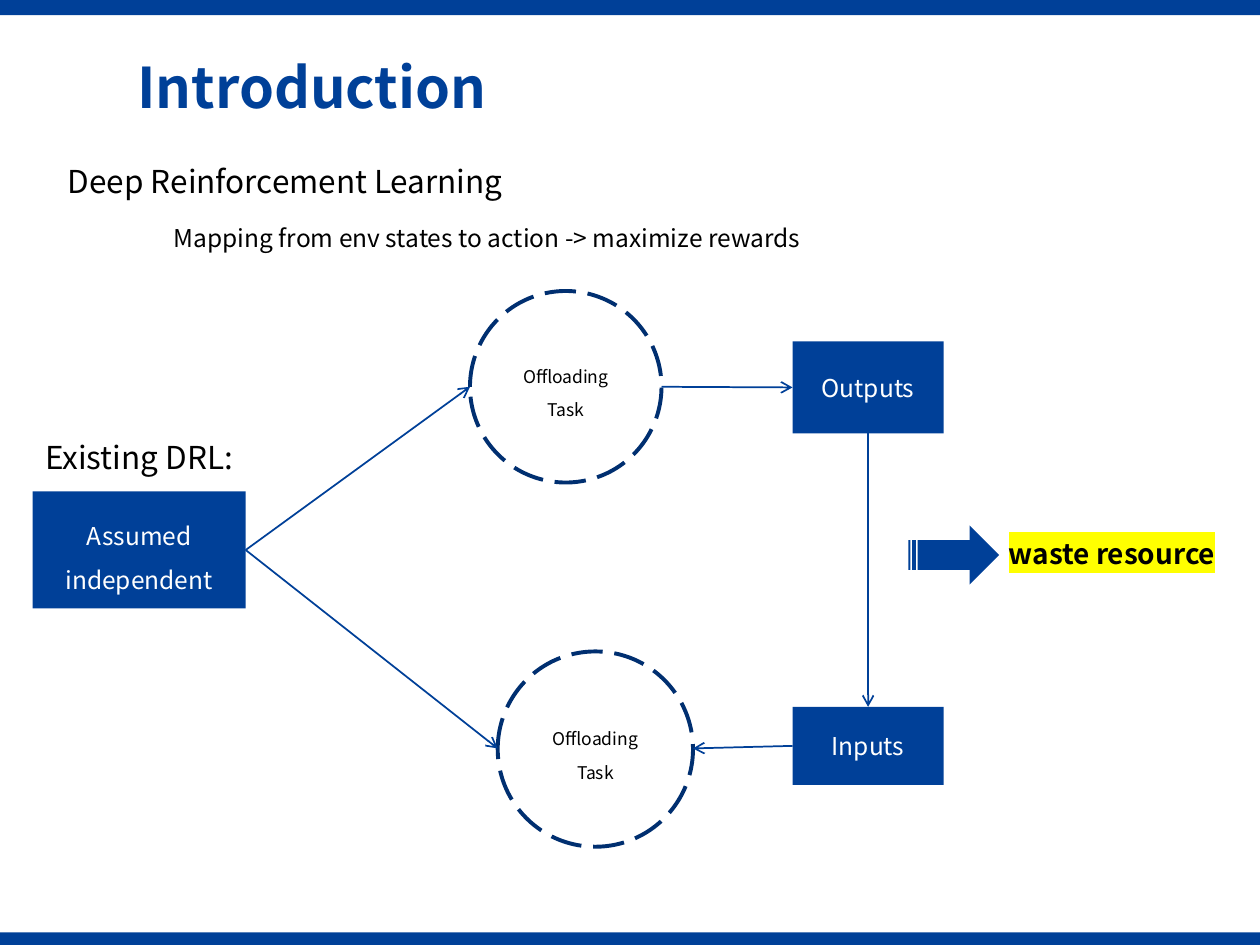
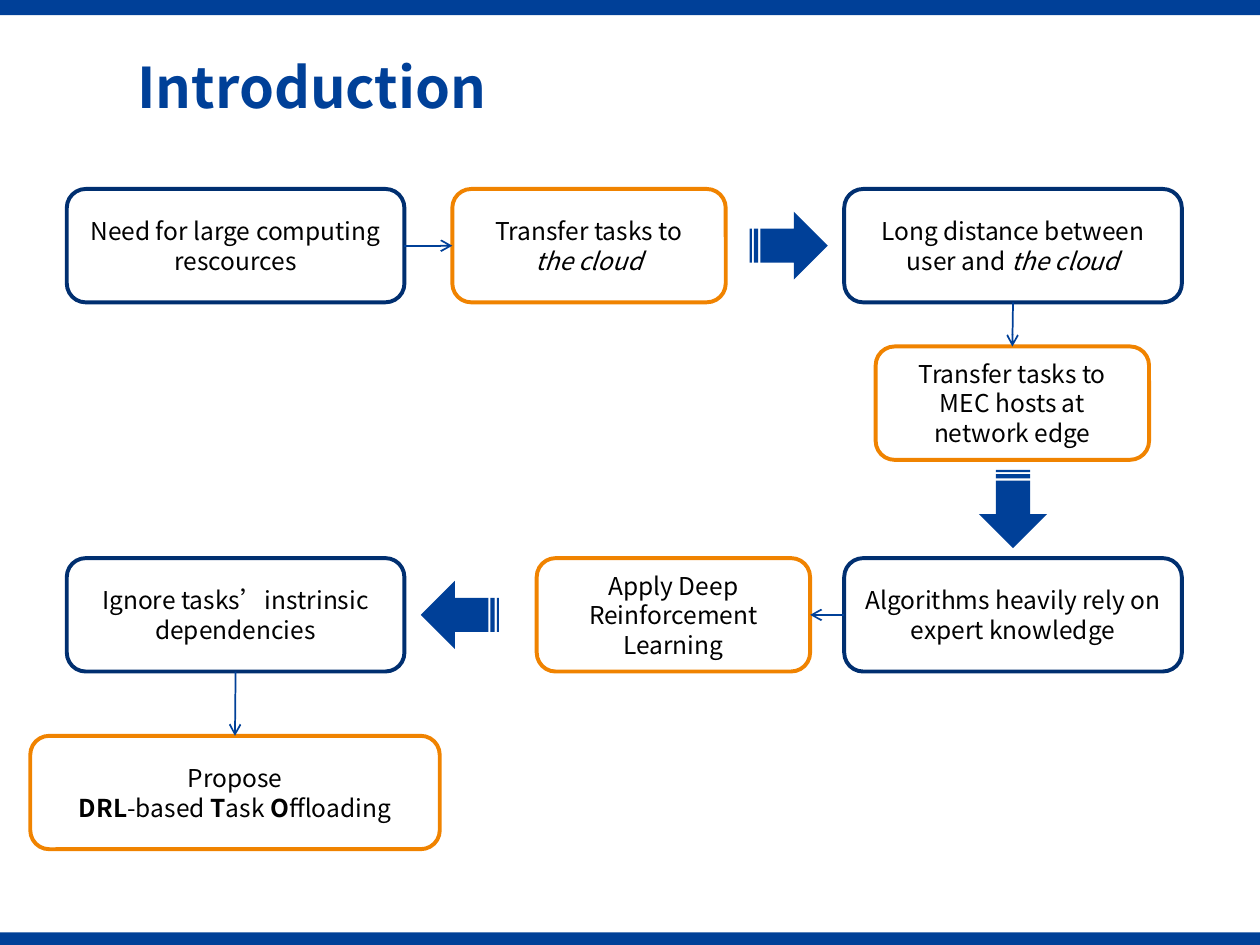
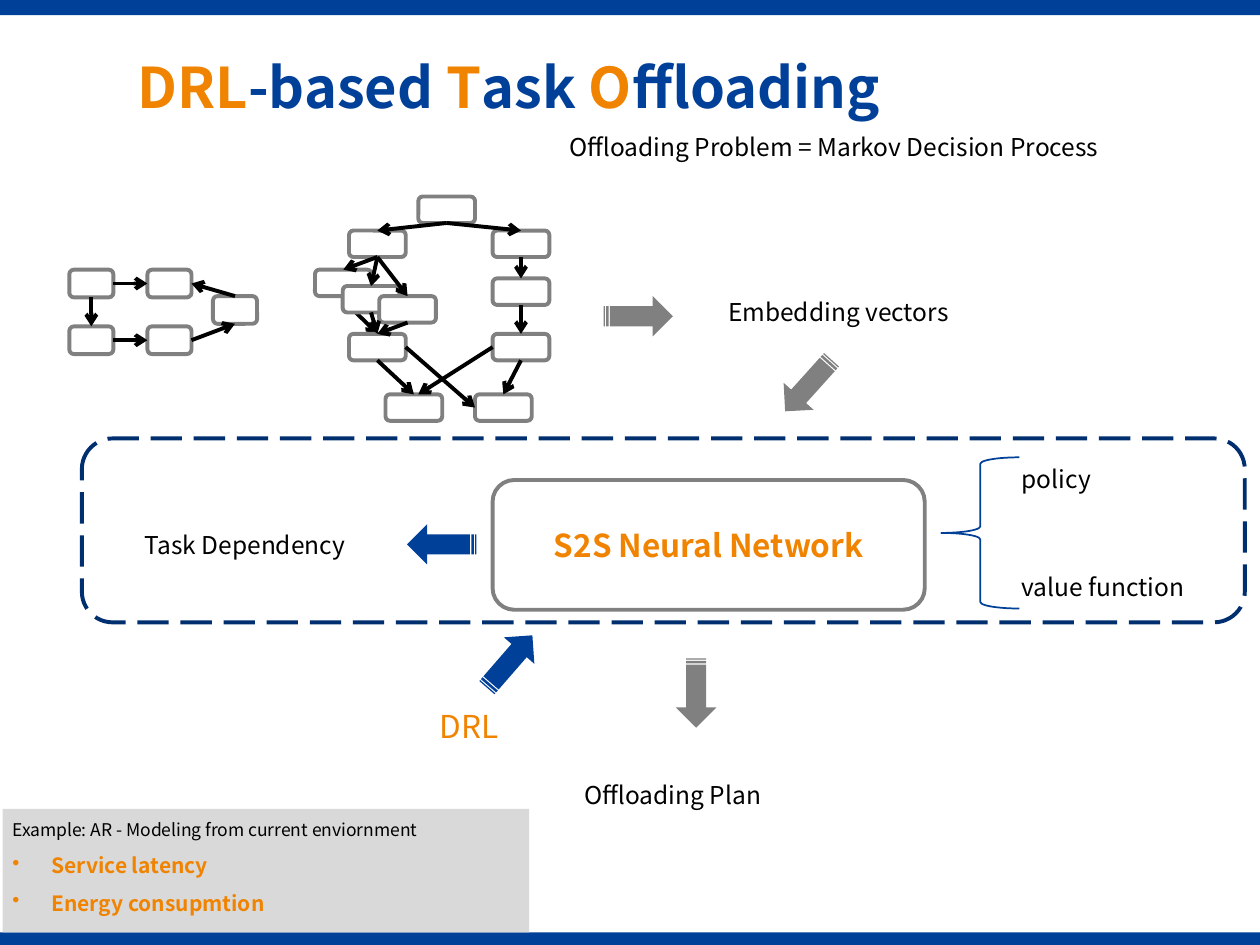
from pptx import Presentation
from pptx.dml.color import RGBColor
from pptx.enum.dml import MSO_LINE
from pptx.enum.shapes import MSO_CONNECTOR, MSO_SHAPE
from pptx.enum.text import MSO_ANCHOR, MSO_AUTO_SIZE, PP_ALIGN
from pptx.oxml.ns import qn
from pptx.util import Inches, Pt
from lxml.etree import SubElement

BLUE = RGBColor(0x00, 0x40, 0x98)
NAVY = RGBColor(0x00, 0x2F, 0x70)
ORANGE = RGBColor(0xF0, 0x83, 0x00)
GRAY = RGBColor(0x80, 0x80, 0x80)
LIGHT = RGBColor(0xD9, 0xD9, 0xD9)
BLACK = RGBColor(0x00, 0x00, 0x00)
WHITE = RGBColor(0xFF, 0xFF, 0xFF)
YELLOW = RGBColor(0xFF, 0xFF, 0x00)
FONT = "Noto Sans CJK SC"
TOP, LEFT, BOTTOM, RIGHT = range(4)


def add_run(p, text, size=14, color=BLACK, bold=None, italic=None, highlight=None):
    r = p.add_run()
    r.text = text
    r.font.size = Pt(size)
    r.font.bold = bold
    r.font.italic = italic
    r.font.color.rgb = color
    rpr = r.font._element
    if highlight is not None:
        hl = SubElement(rpr, qn("a:highlight"))
        SubElement(hl, qn("a:srgbClr"), val=str(highlight))
    r.font.name = FONT
    SubElement(rpr, qn("a:ea"), typeface=FONT)


def add_paragraph(tf, runs, align=None, spacing=None, indent=0, bullet=False, **fmt):
    """Fill the next paragraph; runs is a string or a list of (text, format)."""
    p = tf.paragraphs[0] if not tf.paragraphs[0].runs else tf.add_paragraph()
    p.alignment = align
    p.line_spacing = spacing
    ppr = p._p.get_or_add_pPr()
    if bullet:
        ppr.set("marL", str(Inches(0.31)))
        ppr.set("indent", str(-Inches(0.31)))
        SubElement(ppr, qn("a:buChar"), char="•")
    elif indent:
        ppr.set("indent", str(Inches(indent)))
    for text, extra in [(runs, {})] if isinstance(runs, str) else runs:
        add_run(p, text, **{**fmt, **extra})


class Deck:
    def __init__(self):
        self.prs = Presentation()
        self.prs.slide_width = Inches(10)
        self.prs.slide_height = Inches(7.5)
        self.s = None

    def slide(self, title):
        self.s = self.prs.slides.add_slide(self.prs.slide_layouts[5])
        self.shape(MSO_SHAPE.RECTANGLE, 0, 7.4, 10, 0.1, fill=BLUE)
        self.shape(MSO_SHAPE.RECTANGLE, 0, 0, 10, 0.12, fill=BLUE)
        sp = self.s.shapes.title
        sp.left, sp.top, sp.width, sp.height = map(Inches, (0.99, 0.43, 8.7, 0.63))
        tf = sp.text_frame
        tf.auto_size = MSO_AUTO_SIZE.NONE
        tf.vertical_anchor = MSO_ANCHOR.TOP
        add_paragraph(tf, title, align=PP_ALIGN.LEFT, spacing=0.9,
                      size=32, color=BLUE, bold=True)

    def shape(self, kind, x, y, w, h, paragraphs=(), fill=None, line=None,
              width=2.25, dashed=False, rotation=0, **fmt):
        sp = self.s.shapes.add_shape(kind, *map(Inches, (x, y, w, h)))
        sp.shadow.inherit = False
        sp.rotation = rotation
        if fill is None:
            sp.fill.background()
        else:
            sp.fill.solid()
            sp.fill.fore_color.rgb = fill
        if line is None:
            sp.line.fill.background()
        else:
            sp.line.color.rgb = line
            sp.line.width = Pt(width)
            if dashed:
                sp.line.dash_style = MSO_LINE.LONG_DASH
        tf = sp.text_frame
        tf.word_wrap = True
        tf.vertical_anchor = MSO_ANCHOR.MIDDLE
        for runs in paragraphs:
            add_paragraph(tf, runs, align=PP_ALIGN.CENTER, **fmt)
        return sp

    def block(self, x, y, w, h, text, **fmt):
        return self.shape(MSO_SHAPE.RECTANGLE, x, y, w, h, [text],
                          fill=BLUE, color=WHITE, **fmt)

    def card(self, x, y, w, color, *paragraphs):
        return self.shape(MSO_SHAPE.ROUNDED_RECTANGLE, x, y, w, 0.9, paragraphs, line=color)

    def nodes(self, places, w, h, fill=None):
        return [self.shape(MSO_SHAPE.ROUNDED_RECTANGLE, x, y, w, h, fill=fill, line=GRAY)
                for x, y in places]

    def striped(self, x, y, w, h, color=BLUE, rotation=0):
        self.shape(MSO_SHAPE.STRIPED_RIGHT_ARROW, x, y, w, h, fill=color, rotation=rotation)

    def text(self, x, y, w, h, *paragraphs, **fmt):
        tf = self.s.shapes.add_textbox(*map(Inches, (x, y, w, h))).text_frame
        tf.word_wrap = True
        tf.auto_size = MSO_AUTO_SIZE.SHAPE_TO_FIT_TEXT
        for runs in paragraphs:
            add_paragraph(tf, runs, **fmt)
        return tf

    def arrow(self, start, end, color=BLUE, width=1):
        """Each end is a point (x, y) or a joint (shape, side)."""
        cx = self.s.shapes.add_connector(MSO_CONNECTOR.STRAIGHT, 0, 0, 0, 0)
        if isinstance(start[0], float):
            cx.begin_x, cx.begin_y = map(Inches, start)
        else:
            cx.begin_connect(*start)
        if isinstance(end[0], float):
            cx.end_x, cx.end_y = map(Inches, end)
        else:
            cx.end_connect(*end)
        cx.line.color.rgb = color
        cx.line.width = Pt(width)
        SubElement(cx.line._get_or_add_ln(), qn("a:tailEnd"), type="arrow")
        SubElement(cx._element.spPr, qn("a:effectLst"))

    def edge(self, start, end):
        self.arrow(start, end, color=BLACK, width=2.25)


def drl_slide(d):
    d.slide("Introduction")
    d.text(0.44, 1.24, 4.4, 0.4, "Deep Reinforcement Learning", size=18)
    d.text(0.99, 1.72, 6.27, 0.34, "Mapping from env states to action -> maximize rewards",
           indent=0.29)
    d.text(0.26, 3.43, 2.21, 0.4, "Existing DRL:", size=18)

    # Blocks and tasks
    assumed = d.block(0.26, 3.9, 1.69, 0.93, "Assumed independent", spacing=1.5)
    inputs = d.block(6.29, 5.61, 1.2, 0.62, "Inputs")
    outputs = d.block(6.29, 2.71, 1.2, 0.73, "Outputs")
    for x, y, size in [(3.95, 5.17, 1.55), (3.73, 2.31, 1.52)]:
        d.shape(MSO_SHAPE.OVAL, x, y, size, size, ["Offloading Task"],
                line=NAVY, dashed=True, size=10, spacing=1.6)

    # Flow
    d.arrow((5.25, 3.07), (outputs, LEFT))
    d.arrow((outputs, BOTTOM), (inputs, TOP))
    d.arrow((inputs, LEFT), (5.5, 5.94))
    d.arrow((assumed, RIGHT), (3.73, 3.07))
    d.arrow((assumed, RIGHT), (3.95, 5.94))

    d.text(7.91, 4.21, 2.37, 0.37, "waste resource", size=16, bold=True, highlight=YELLOW)
    d.striped(7.21, 4.17, 0.72, 0.47)


def motivation_slide(d):
    d.slide("Introduction")
    italic, bold = {"italic": True}, {"bold": True}
    wide, narrow = 2.68, 2.17

    # Problems in navy, answers in orange
    need = d.card(0.53, 1.5, wide, NAVY, "Need for large computing rescources")
    cloud = d.card(3.59, 1.5, narrow, ORANGE, "Transfer tasks to", [("the cloud", italic)])
    distance = d.card(6.7, 1.5, wide, NAVY,
                      [("Long distance between user and ", {}), ("the cloud", italic)])
    edge_hosts = d.card(6.95, 2.75, narrow, ORANGE,
                        "Transfer tasks to MEC hosts at network edge")
    expert = d.card(6.7, 4.43, wide, NAVY, "Algorithms heavily rely on expert knowledge")
    learning = d.card(4.26, 4.43, narrow, ORANGE, "Apply Deep Reinforcement Learning")
    ignore = d.card(0.53, 4.43, wide, NAVY, "Ignore tasks’instrinsic dependencies")
    propose = d.card(0.24, 5.84, 3.25, ORANGE, "Propose",
                     [("DRL", bold), ("-based ", {}), ("T", bold), ("ask ", {}),
                      ("O", bold), ("ffloading", {})])

    # Flow
    d.arrow((need, RIGHT), (cloud, LEFT))
    d.arrow((distance, BOTTOM), (edge_hosts, TOP))
    d.arrow((expert, LEFT), (learning, RIGHT))
    d.arrow((ignore, BOTTOM), (propose, TOP))
    for x, y, rotation in [(5.95, 1.68, 0), (7.73, 3.77, 90), (3.34, 4.61, 180)]:
        d.striped(x, y, 0.62, 0.54, rotation=rotation)


def small_graph(d):
    a, b, c, e, f = d.nodes(
        [(0.55, 2.14), (1.17, 2.14), (0.55, 2.59), (1.17, 2.59), (1.69, 2.35)], 0.35, 0.22)
    for start, end in [((a, RIGHT), (b, LEFT)), ((a, BOTTOM), (c, TOP)),
                       ((c, RIGHT), (e, LEFT)), ((e, RIGHT), (f, BOTTOM)),
                       ((f, TOP), (b, RIGHT))]:
        d.edge(start, end)


def large_graph(d):
    w, h = 0.45, 0.21
    d.edge((2.72, 2.38), (3.0, 2.65))
    back, root, left, right = d.nodes(
        [(2.5, 2.14), (3.32, 1.56), (2.77, 1.83), (3.91, 1.83)], w, h)
    middle, front, left_join, right_mid, right_join, left_leaf, right_leaf = d.nodes(
        [(2.72, 2.27), (3.01, 2.35), (2.77, 2.65), (3.91, 2.21), (3.91, 2.65),
         (3.06, 3.13), (3.77, 3.13)], w, h, fill=WHITE)
    for upper, lower in [(root, left), (root, right), (right, right_mid),
                         (right_mid, right_join), (right_join, right_leaf), (left, back),
                         (left, middle), (left, front), (front, left_join),
                         (middle, left_join), (left_join, left_leaf)]:
        d.edge((upper, BOTTOM), (lower, TOP))
    d.edge((left_join, RIGHT), (right_leaf, LEFT))
    d.edge((right_join, LEFT), (3.32, 3.13))


def method_slide(d):
    accent = {"color": ORANGE}
    d.slide([("DRL", accent), ("-based ", {}), ("T", accent), ("ask ", {}),
             ("O", accent), ("ffloading", {})])

    # Example panel
    d.shape(MSO_SHAPE.RECTANGLE, 0.02, 6.42, 4.18, 0.98, fill=LIGHT)
    tf = d.text(0, 6.45, 4.92, 0.87, "Example: AR - Modeling from current enviornment", size=10)
    for goal in ("Service latency", "Energy consupmtion"):
        add_paragraph(tf, goal, spacing=1.5, bullet=True, size=12, color=ORANGE, bold=True)

    # Task graphs
    small_graph(d)
    large_graph(d)

    # Labels
    for x, y, w, label in [(1.05, 4.16, 2.41, "Task Dependency"),
                           (8.01, 3.63, 1.11, "policy"),
                           (8.01, 4.49, 1.87, "value function"),
                           (4.54, 6.14, 2.18, "Offloading Plan"),
                           (5.68, 2.31, 2.5, "Embedding vectors")]:
        d.text(x, y, w, 0.34, label)
    d.text(4.13, 1, 5.63, 0.34, "Offloading Problem = Markov Decision Process", indent=0.29)
    d.text(3.39, 5.56, 0.83, 0.4, "DRL", size=18, color=ORANGE)

    # Flow arrows
    for x, y, color, rotation in [(3.23, 4.16, BLUE, 180), (6.14, 2.9, GRAY, 132),
                                  (5.25, 5.34, GRAY, 90), (3.77, 5.09, BLUE, 311),
                                  (4.79, 2.35, GRAY, 0)]:
        d.striped(x, y, 0.55, 0.32, color, rotation)

    # Network and its frame
    d.shape(MSO_SHAPE.LEFT_BRACE, 7.47, 3.63, 0.62, 1.2, line=BLUE, width=1)
    d.shape(MSO_SHAPE.ROUNDED_RECTANGLE, 3.91, 3.81, 3.43, 1.03, ["S2S Neural Network"],
            line=GRAY, size=18, color=ORANGE, bold=True)
    d.shape(MSO_SHAPE.ROUNDED_RECTANGLE, 0.65, 3.48, 9.23, 1.46, line=NAVY, dashed=True)


def main():
    d = Deck()
    drl_slide(d)
    motivation_slide(d)
    method_slide(d)
    d.prs.save("out.pptx")


if __name__ == "__main__":
    main()
